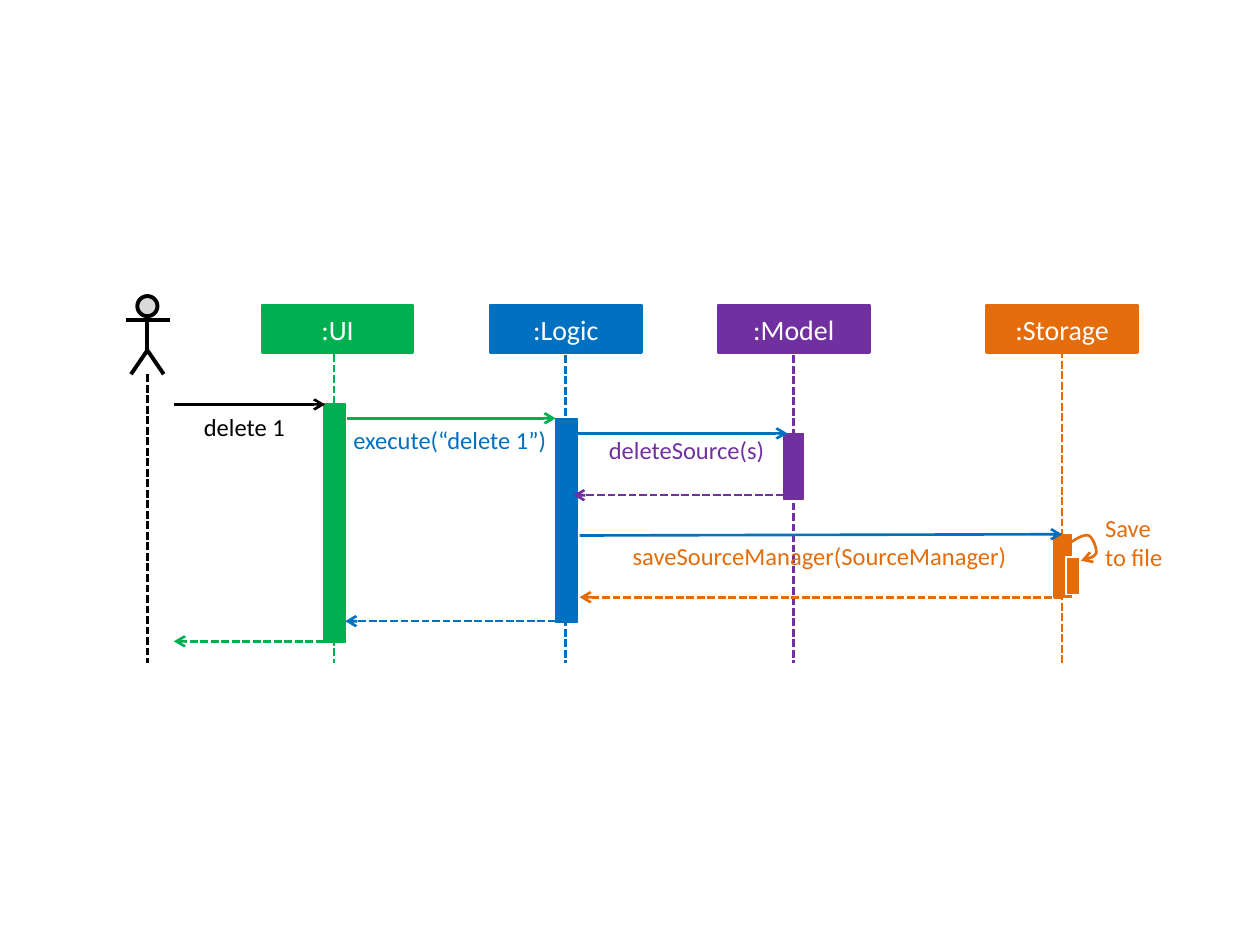
from lxml.etree import SubElement
from pptx import Presentation
from pptx.dml.color import RGBColor
from pptx.enum.dml import MSO_LINE
from pptx.enum.shapes import MSO_CONNECTOR, MSO_SHAPE
from pptx.enum.text import MSO_ANCHOR, MSO_AUTO_SIZE, PP_ALIGN
from pptx.oxml.ns import qn
from pptx.util import Inches, Pt

GREEN = RGBColor(0x00, 0xB0, 0x50)
BLUE = RGBColor(0x00, 0x70, 0xC0)
PURPLE = RGBColor(0x70, 0x30, 0xA0)
ORANGE = RGBColor(0xE4, 0x6C, 0x0A)
BLACK = RGBColor(0, 0, 0)
WHITE = RGBColor(0xFF, 0xFF, 0xFF)
GREY = RGBColor(0xD9, 0xD9, 0xD9)
LIFELINE_END = 5.26


def add_line(shapes, start, end, color, width=1.5, dashed=False, arrow=False):
    """Draw a straight line, optionally dashed or with an arrowhead at its end."""
    line = shapes.add_connector(MSO_CONNECTOR.STRAIGHT, *map(Inches, start + end))
    line.line.color.rgb = color
    line.line.width = Pt(width)
    if dashed:
        line.line.dash_style = MSO_LINE.SQUARE_DOT
    if arrow:
        SubElement(line.line._get_or_add_ln(), qn("a:tailEnd"), type="arrow")
    SubElement(line._element.spPr, qn("a:effectLst"))


def add_block(shapes, kind, box, fill, outline, width):
    """Draw a filled preset shape without a shadow and return it."""
    shape = shapes.add_shape(kind, *map(Inches, box))
    shape.shadow.inherit = False
    shape.fill.solid()
    shape.fill.fore_color.rgb = fill
    shape.line.color.rgb = outline
    shape.line.width = Pt(width)
    return shape


presentation = Presentation()
presentation.slide_width = Inches(10)
presentation.slide_height = Inches(7.5)
slide = presentation.slides.add_slide(presentation.slide_layouts[6])
shapes = slide.shapes

# Participants: name, colour, header left, lifeline x and top, activation bar
participants = [
    (":UI", GREEN, 2.08, 2.65, 2.81, (2.57, 3.2, 0.17, 1.9)),
    (":Logic", BLUE, 3.89, 4.49, 2.82, (4.41, 3.32, 0.17, 1.62)),
    (":Model", PURPLE, 5.7, 6.3, 2.82, (6.22, 3.44, 0.16, 0.52)),
    (":Storage", ORANGE, 7.83, 8.43, 2.78, (8.36, 4.24, 0.14, 0.5)),
]
for name, color, left, center, top, bar in participants:
    header = add_block(shapes, MSO_SHAPE.RECTANGLE, (left, 2.42, 1.2, 0.38), color, color, 1.5)
    header.text_frame.text = name
    header.text_frame.vertical_anchor = MSO_ANCHOR.MIDDLE
    paragraph = header.text_frame.paragraphs[0]
    paragraph.alignment = PP_ALIGN.CENTER
    font = paragraph.runs[0].font
    font.name, font.size, font.color.rgb = "Calibri", Pt(16), WHITE
    add_line(shapes, (center, top), (center, LIFELINE_END), color, dashed=True)
    add_block(shapes, MSO_SHAPE.RECTANGLE, bar, color, color, 0.75)

# User: stick figure and lifeline
actor = shapes.add_group_shape().shapes
add_block(actor, MSO_SHAPE.FLOWCHART_CONNECTOR, (1.09, 2.35, 0.16, 0.16), GREY, BLACK, 2.25)
add_line(actor, (1.17, 2.5), (1.17, 2.78), BLACK, 2.25)
add_line(actor, (1.0, 2.54), (1.35, 2.54), BLACK, 2.25)
legs_builder = actor.build_freeform(Inches(1.04), Inches(2.97))
legs_builder.add_line_segments(
    [(Inches(1.17), Inches(2.78)), (Inches(1.3), Inches(2.97))], close=False)
legs = legs_builder.convert_to_shape()
legs.shadow.inherit = False
legs.fill.background()
legs.line.color.rgb = BLACK
legs.line.width = Pt(2.25)
add_line(shapes, (1.17, 2.97), (1.17, LIFELINE_END), BLACK, dashed=True)

# Messages: start, end, colour, dashed when it is a return
messages = [
    ((1.38, 3.21), (2.58, 3.21), BLACK, False),
    ((2.75, 3.32), (4.41, 3.32), GREEN, False),
    ((4.57, 3.44), (6.25, 3.44), BLUE, False),
    ((6.22, 3.93), (4.55, 3.93), PURPLE, True),
    ((4.41, 4.93), (2.74, 4.93), BLUE, True),
    ((2.57, 5.09), (1.38, 5.09), GREEN, True),
    ((8.43, 4.74), (4.6, 4.74), ORANGE, True),
    ((4.6, 4.25), (8.43, 4.24), BLUE, False),
]
for start, end, color, dashed in messages:
    add_line(shapes, start, end, color, dashed=dashed, arrow=True)

# Storage calling itself: Bezier curve sampled into short segments
self_call = shapes.add_group_shape().shapes
curves = [
    ((8.49, 4.31), (8.55, 4.27), (8.6, 4.24), (8.64, 4.25)),
    ((8.64, 4.25), (8.67, 4.26), (8.71, 4.36), (8.7, 4.39)),
    ((8.7, 4.39), (8.69, 4.42), (8.63, 4.44), (8.58, 4.45)),
]
STEPS = 8
points = []
for curve in curves:
    for step in range(1, STEPS + 1):
        t = step / STEPS
        weights = ((1 - t) ** 3, 3 * t * (1 - t) ** 2, 3 * t ** 2 * (1 - t), t ** 3)
        points.append(tuple(
            Inches(sum(weight * value for weight, value in zip(weights, axis)))
            for axis in zip(*curve)))
loop_builder = self_call.build_freeform(*map(Inches, curves[0][0]))
loop_builder.add_line_segments(points, close=False)
loop = loop_builder.convert_to_shape()
loop.shadow.inherit = False
loop.fill.background()
loop.line.color.rgb = ORANGE
loop.line.width = Pt(1.5)
SubElement(loop.line._get_or_add_ln(), qn("a:tailEnd"), type="arrow")
add_block(self_call, MSO_SHAPE.RECTANGLE, (8.46, 4.42, 0.11, 0.3), ORANGE, WHITE, 0.75)

# Message labels
labels = [
    ("delete 1", (1.47, 3.27, 0.94, 0.24), BLACK, PP_ALIGN.CENTER),
    ("execute(“delete 1”)", (2.79, 3.37, 1.56, 0.24), BLUE, PP_ALIGN.CENTER),
    ("deleteSource(s)", (4.78, 3.45, 1.34, 0.24), PURPLE, PP_ALIGN.CENTER),
    ("saveSourceManager(SourceManager)", (4.9, 4.29, 3.21, 0.24), ORANGE, PP_ALIGN.CENTER),
    ("Save \vto file", (8.77, 4.07, 0.59, 0.47), ORANGE, PP_ALIGN.LEFT),
]
for text, box, color, alignment in labels:
    frame = shapes.add_textbox(*map(Inches, box)).text_frame
    frame.margin_left = frame.margin_right = frame.margin_top = frame.margin_bottom = 0
    frame.word_wrap = True
    frame.auto_size = MSO_AUTO_SIZE.SHAPE_TO_FIT_TEXT
    frame.text = text
    paragraph = frame.paragraphs[0]
    paragraph.alignment = alignment
    for run in paragraph.runs:
        run.font.name, run.font.size, run.font.color.rgb = "Calibri", Pt(14), color

presentation.save("out.pptx")
